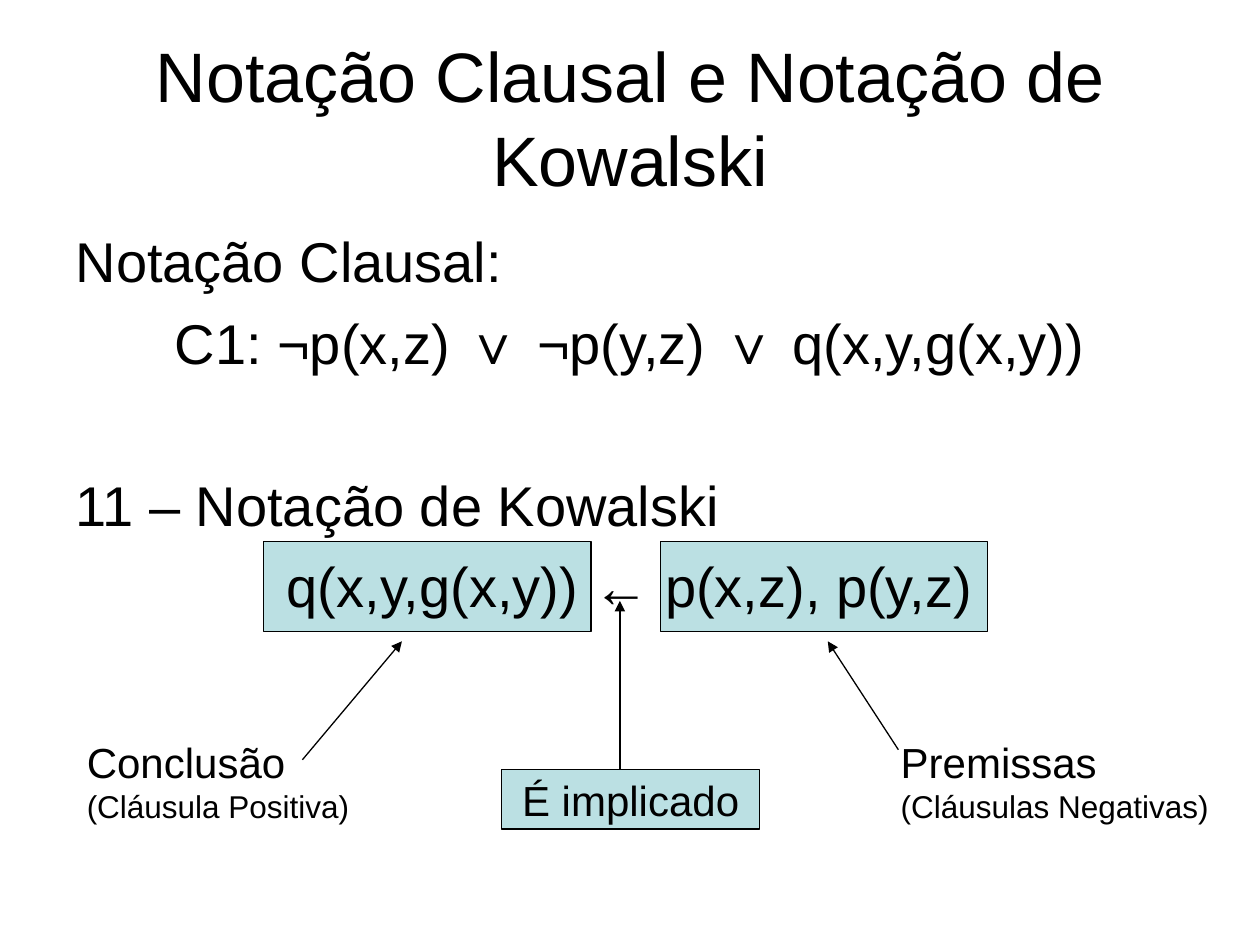
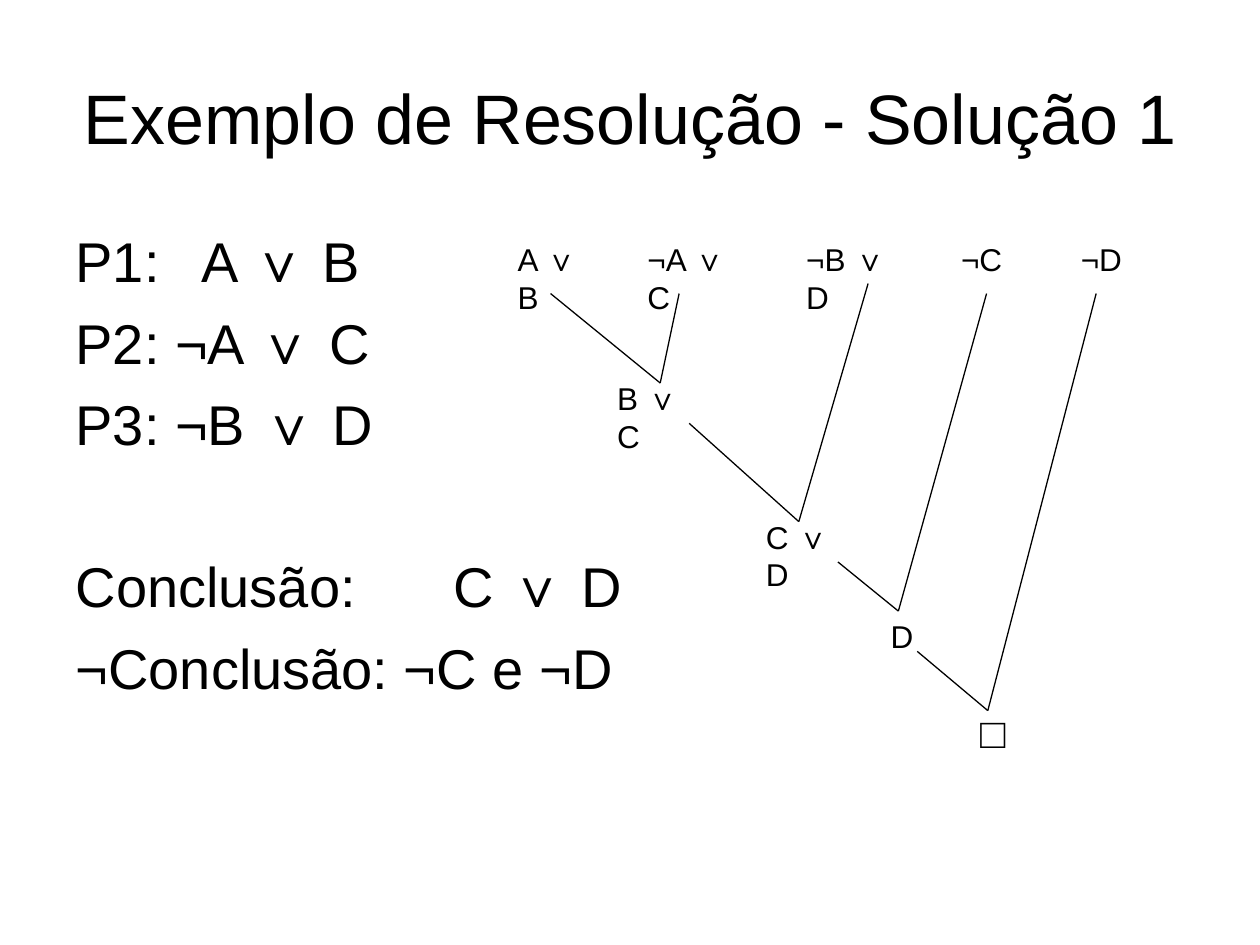
"""Two slides: Kowalski notation and a resolution tree."""
from lxml.etree import SubElement
from pptx import Presentation
from pptx.dml.color import RGBColor as RGB
from pptx.enum.shapes import MSO_CONNECTOR as CONN, MSO_SHAPE as SHAPE
from pptx.enum.text import MSO_ANCHOR as ANCHOR, MSO_AUTO_SIZE as AUTO, PP_ALIGN as ALIGN
from pptx.oxml.ns import qn
from pptx.util import Inches, Pt

COLORS = {"ink": "000000", "box": "BBE0E3", "page": "FFFFFF"}
FONT = "Arial"
SIZES = {"title": 40, "body": 32, "label": 24, "small": 18}
GAP, SECTION_GAP = 8, 54.5
TITLE_AT, BODY_AT = (0.5, 0.3, 9, 1.25), (0.5, 1.75, 9, 4.95)
LEFT, CENTER = ALIGN.LEFT, ALIGN.CENTER

NOTATION = {
    "title": "Notação Clausal e Notação de Kowalski",
    "body": [
        ("Notação Clausal:", LEFT, 0),
        ("C1: ¬p(x,z) ∨ ¬p(y,z) ∨ q(x,y,g(x,y))", CENTER, GAP),
        ("11 – Notação de Kowalski", LEFT, SECTION_GAP),
        ("q(x,y,g(x,y)) ← p(x,z), p(y,z)", CENTER, GAP),
    ],
}
CLAUSE_LEFTS, CLAUSE_TOP, CLAUSE_SIZE = (5.24, 2.09), 4.3, (2.6, 0.71)
CAPTION_TOP, CAPTION_SIZE = 5.8, (2.85, 0.8)
CAPTIONS = [(0.59, "Conclusão", "(Cláusula Positiva)"),
            (7.05, "Premissas", "(Cláusulas Negativas)")]
IMPLIED = ((3.98, 6.11, 2.05, 0.47), "É implicado")
ARROWS = [((2.4, 6.03), (3.19, 5.09)), ((7.13, 5.95), (6.57, 5.09)),
          ((4.92, 6.11), (4.92, 4.77))]

RESOLUTION = {
    "title": "Exemplo de Resolução - Solução 1",
    "body": [
        ("P1:\tA ∨ B", LEFT, 0),
        ("P2: ¬A ∨ C", LEFT, GAP),
        ("P3: ¬B ∨ D", LEFT, GAP),
        ("Conclusão:\t\tC ∨ D", LEFT, SECTION_GAP),
        ("¬Conclusão: ¬C e ¬D", LEFT, GAP),
    ],
}
PREMISE_TOP, NODE_HEIGHT = 1.86, 0.4
PREMISES = [("A ∨ B", 4.01, 0.75), ("¬A ∨ C", 5.04, 0.93), ("¬B ∨ D", 6.3, 0.93),
            ("¬C", 7.53, 0.54), ("¬D", 8.48, 0.54)]
RESOLVENTS = [("B ∨ C", 4.8, 2.96, 0.77, "small"), ("C ∨ D", 5.98, 4.06, 0.78, "small"),
              ("D", 6.97, 4.85, 0.38, "small"), ("□", 7.68, 5.56, 0.4, "label")]
JOINS = [
    ((5.24, 3.04), (4.37, 2.33), (5.39, 2.33)),
    ((6.34, 4.14), (5.47, 3.36), (6.89, 2.25)),
    ((7.13, 4.85), (6.65, 4.46), (7.83, 2.33)),
    ((7.84, 5.64), (7.28, 5.17), (8.7, 2.33)),
]


def color(name):
    return RGB.from_string(COLORS[name])


def inches(values):
    return [Inches(v) for v in values]


def place(sp, at):
    sp.left, sp.top, sp.width, sp.height = inches(at)


def write(p, text, size, align=LEFT, before=0):
    p.alignment, p.space_before, p.line_spacing = align, Pt(before), 1.0
    r = p.add_run()
    r.text = text
    r.font.name, r.font.size = FONT, Pt(SIZES[size])
    r.font.color.rgb = color("ink")


def add_paragraph(tf, i):
    return tf.add_paragraph() if i else tf.paragraphs[0]


def remove_bullet(p):
    pPr = p._p.get_or_add_pPr()
    pPr.set("marL", "0")
    pPr.set("indent", "0")
    SubElement(pPr, qn("a:buNone"))


def add_slide(prs, content):
    s = prs.slides.add_slide(prs.slide_layouts[1])
    s.background.fill.solid()
    s.background.fill.fore_color.rgb = color("page")
    title, body = s.shapes.title, s.placeholders[1]
    for sp, at in ((title, TITLE_AT), (body, BODY_AT)):
        place(sp, at)
        sp.text_frame.auto_size = AUTO.NONE
    title.text_frame.vertical_anchor = ANCHOR.MIDDLE
    write(title.text_frame.paragraphs[0], content["title"], "title", CENTER)
    for i, (text, align, before) in enumerate(content["body"]):
        p = add_paragraph(body.text_frame, i)
        remove_bullet(p)
        write(p, text, "body", align, before)
    return s


def add_box(s, at):
    sp = s.shapes.add_shape(SHAPE.RECTANGLE, *inches(at))
    sp.shadow.inherit = False
    sp.fill.solid()
    sp.fill.fore_color.rgb = color("box")
    sp.line.color.rgb = color("ink")
    sp.line.width = Pt(0.75)
    return sp


def add_label(s, at, lines, wrap=True):
    tf = s.shapes.add_textbox(*inches(at)).text_frame
    tf.word_wrap = wrap
    for i, (text, size) in enumerate(lines):
        write(add_paragraph(tf, i), text, size)


def add_line(s, start, end, arrow=False):
    c = s.shapes.add_connector(CONN.STRAIGHT, *inches(start + end))
    c.line.color.rgb = color("ink")
    c.line.width = Pt(0.75)
    if arrow:
        SubElement(c.line._get_or_add_ln(), qn("a:tailEnd"), type="triangle")
    SubElement(c._element.spPr, qn("a:effectLst"))


def build_notation(prs):
    s = add_slide(prs, NOTATION)
    for left in CLAUSE_LEFTS:
        sp = add_box(s, (left, CLAUSE_TOP, *CLAUSE_SIZE))
        s.shapes.title.element.addprevious(sp.element)
    for left, name, kind in CAPTIONS:
        add_label(s, (left, CAPTION_TOP, *CAPTION_SIZE), [(name, "label"), (kind, "small")])
    at, text = IMPLIED
    tf = add_box(s, at).text_frame
    tf.word_wrap, tf.vertical_anchor = False, ANCHOR.MIDDLE
    write(tf.paragraphs[0], text, "label", CENTER)
    for start, end in ARROWS:
        add_line(s, start, end, arrow=True)


def build_resolution(prs):
    s = add_slide(prs, RESOLUTION)
    premises = [(text, left, PREMISE_TOP, width, "small") for text, left, width in PREMISES]
    for text, left, top, width, size in premises + RESOLVENTS:
        add_label(s, (left, top, width, NODE_HEIGHT), [(text, size)], wrap=" " in text)
    for join, *parents in JOINS:
        for parent in parents:
            add_line(s, parent, join)


def main():
    prs = Presentation()
    prs.slide_width, prs.slide_height = Inches(10), Inches(7.5)
    build_notation(prs)
    build_resolution(prs)
    prs.save("out.pptx")


if __name__ == "__main__":
    main()
